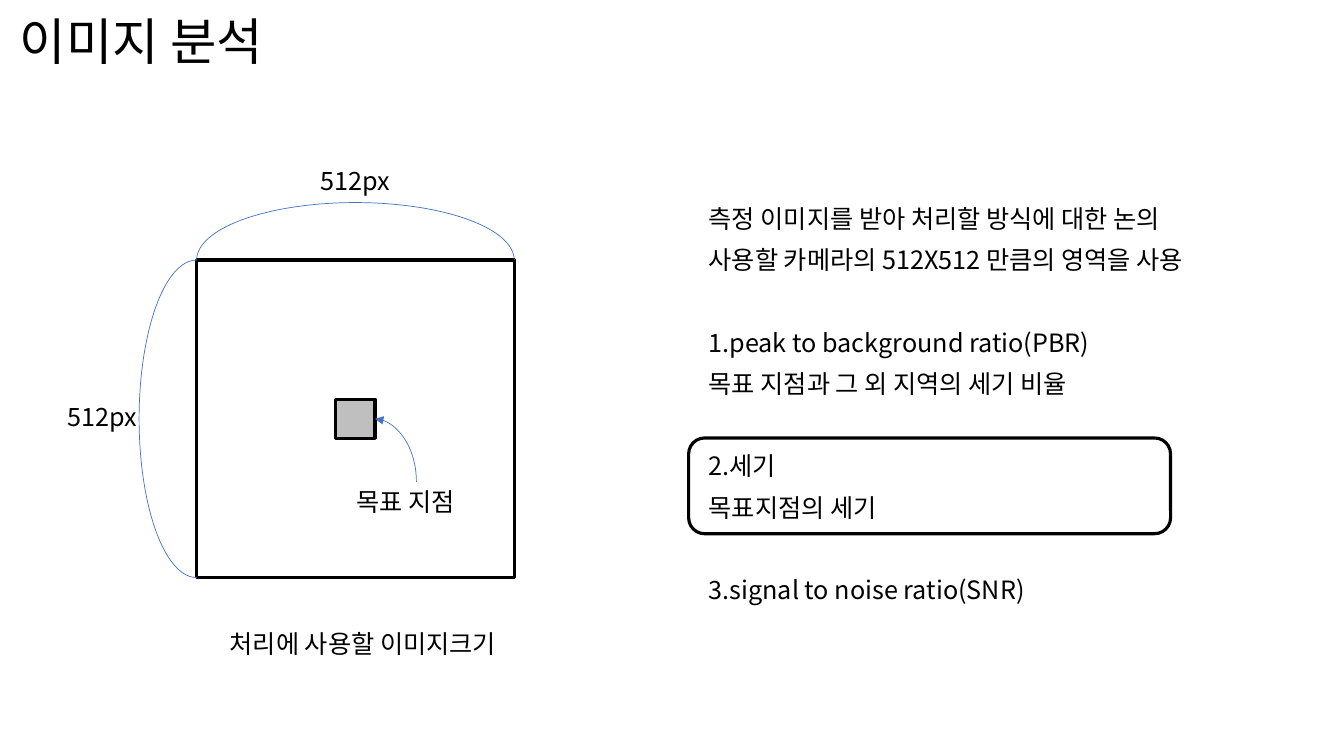
from dataclasses import dataclass
from lxml import etree
from pptx import Presentation
from pptx.dml.color import RGBColor
from pptx.enum.shapes import MSO_CONNECTOR, MSO_SHAPE
from pptx.enum.text import MSO_ANCHOR, PP_ALIGN
from pptx.oxml.ns import qn
from pptx.util import Inches, Pt

RECT, ROUNDED, ARC = MSO_SHAPE.RECTANGLE, MSO_SHAPE.ROUNDED_RECTANGLE, MSO_SHAPE.ARC
CURVE = MSO_CONNECTOR.CURVE
LEFT, CENTER = PP_ALIGN.LEFT, PP_ALIGN.CENTER
TOP, MIDDLE = MSO_ANCHOR.TOP, MSO_ANCHOR.MIDDLE


@dataclass(frozen=True)
class Theme:
    font: str = "Noto Sans CJK KR"
    ink: str = "000000"
    paper: str = "FFFFFF"
    target: str = "BFBFBF"
    accent: str = "4472C4"
    title_size: float = 36
    text_size: float = 18
    heavy: float = 2.25
    thin: float = 0.5
    spacing: float = 0.9
    paragraph_gap: float = 10
    group_gap: float = 39.5


THEME = Theme()

TITLE = "이미지 분석"
DISCUSSION = [
    ["측정 이미지를 받아 처리할 방식에 대한 논의", "사용할 카메라의 512X512 만큼의 영역을 사용"],
    ["1.peak to background ratio(PBR)", "목표 지점과 그 외 지역의 세기 비율"],
    ["2.세기", "목표지점의 세기"],
    ["3.signal to noise ratio(SNR)"],
]
LABELS = [
    ("512px", 3.08, 1.59, 0.9, LEFT),
    ("512px", 0.57, 3.93, 0.97, LEFT),
    ("처리에 사용할 이미지크기", 1.65, 6.18, 3.9, CENTER),
    ("목표 지점", 3.44, 4.78, 1.39, LEFT),
]
LABEL_HEIGHT = 0.4
FRAME_LEFT, FRAME_TOP, FRAME_SIDE = 1.95, 2.58, 3.15
TARGET_SIDE = 0.39
ARC_DEPTH = 1.14
HALF_TURN = 108
POINTER_START = (4.13, 4.78)

presentation = Presentation()
presentation.slide_width, presentation.slide_height = Inches(13.33), Inches(7.5)
slide = presentation.slides.add_slide(presentation.slide_layouts[6])


def style(paragraph, size):
    paragraph.font.size = Pt(size)
    paragraph.font.color.rgb = RGBColor.from_string(THEME.ink)
    paragraph.font.name = THEME.font
    defaults = paragraph._p.pPr.find(qn("a:defRPr"))
    etree.SubElement(defaults, qn("a:ea")).set("typeface", THEME.font)


def add_text(lines, box, size=THEME.text_size, align=LEFT, anchor=TOP, spacing=None):
    frame = slide.shapes.add_textbox(*map(Inches, box)).text_frame
    frame.word_wrap = True
    frame.vertical_anchor = anchor
    for index, (line, gap) in enumerate(lines):
        paragraph = frame.paragraphs[0] if index == 0 else frame.add_paragraph()
        paragraph.text = line
        paragraph.alignment = align
        paragraph.space_before = Pt(gap)
        if spacing:
            paragraph.line_spacing = spacing
        style(paragraph, size)


def add_outline(kind, center, size, color, weight, fill=None):
    (x, y), (width, height) = center, size
    shape = slide.shapes.add_shape(
        kind, Inches(x - width / 2), Inches(y - height / 2), Inches(width), Inches(height))
    shape.shadow.inherit = False
    shape.line.color.rgb = RGBColor.from_string(color)
    shape.line.width = Pt(weight)
    if fill:
        shape.fill.solid()
        shape.fill.fore_color.rgb = RGBColor.from_string(fill)
    else:
        shape.fill.background()
    return shape


def add_pointer(start, end):
    (x1, y1), (x2, y2) = start, end
    width, height = y1 - y2, x1 - x2
    pointer = slide.shapes.add_connector(CURVE, 0, 0, 0, 0)
    pointer.left = Inches((x1 + x2 - width) / 2)
    pointer.top = Inches((y1 + y2 - height) / 2)
    pointer.width, pointer.height = Inches(width), Inches(height)
    pointer.line.color.rgb = RGBColor.from_string(THEME.accent)
    pointer.line.width = Pt(THEME.thin)
    properties = pointer._element.spPr
    turn = properties.find(qn("a:xfrm"))
    turn.set("rot", str(270 * 60000))
    turn.set("flipV", "1")
    properties.find(qn("a:prstGeom")).set("prst", "curvedConnector2")
    etree.SubElement(properties.find(qn("a:ln")), qn("a:tailEnd")).set("type", "triangle")
    etree.SubElement(properties, qn("a:effectLst"))


add_text([(TITLE, 0)], (0.1, 0.15, 4.56, 0.57), THEME.title_size,
         anchor=MIDDLE, spacing=THEME.spacing)

discussion_lines = [
    (line, THEME.group_gap if group and not row else THEME.paragraph_gap)
    for group, lines in enumerate(DISCUSSION) for row, line in enumerate(lines)
]
add_text(discussion_lines, (6.93, 2, 5.48, 4.76), spacing=THEME.spacing)

middle_x, middle_y = FRAME_LEFT + FRAME_SIDE / 2, FRAME_TOP + FRAME_SIDE / 2
for side, fill in ((FRAME_SIDE, THEME.paper), (TARGET_SIDE, THEME.target)):
    add_outline(RECT, (middle_x, middle_y), (side, side), THEME.ink, THEME.heavy, fill)

for center, rotation in (((middle_x, FRAME_TOP), 0), ((FRAME_LEFT, middle_y), 270)):
    span = add_outline(ARC, center, (FRAME_SIDE, ARC_DEPTH), THEME.accent, THEME.thin)
    span.adjustments[0], span.adjustments[1] = HALF_TURN, 0
    span.rotation = rotation

add_outline(ROUNDED, (9.22, 4.82), (4.78, 0.95), THEME.ink, THEME.heavy)
add_pointer(POINTER_START, (middle_x + TARGET_SIDE / 2, middle_y))

for label, left, top, width, align in LABELS:
    add_text([(label, 0)], (left, top, width, LABEL_HEIGHT), align=align)

presentation.save("out.pptx")
